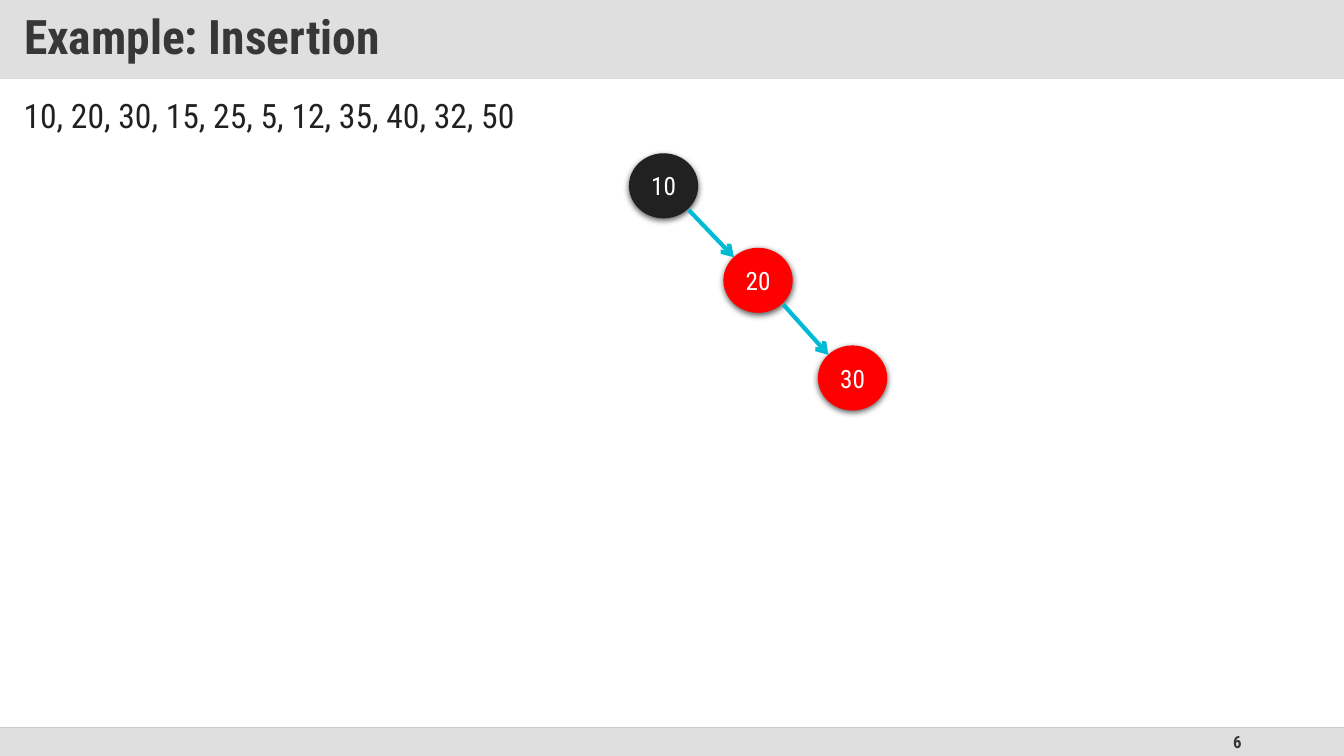
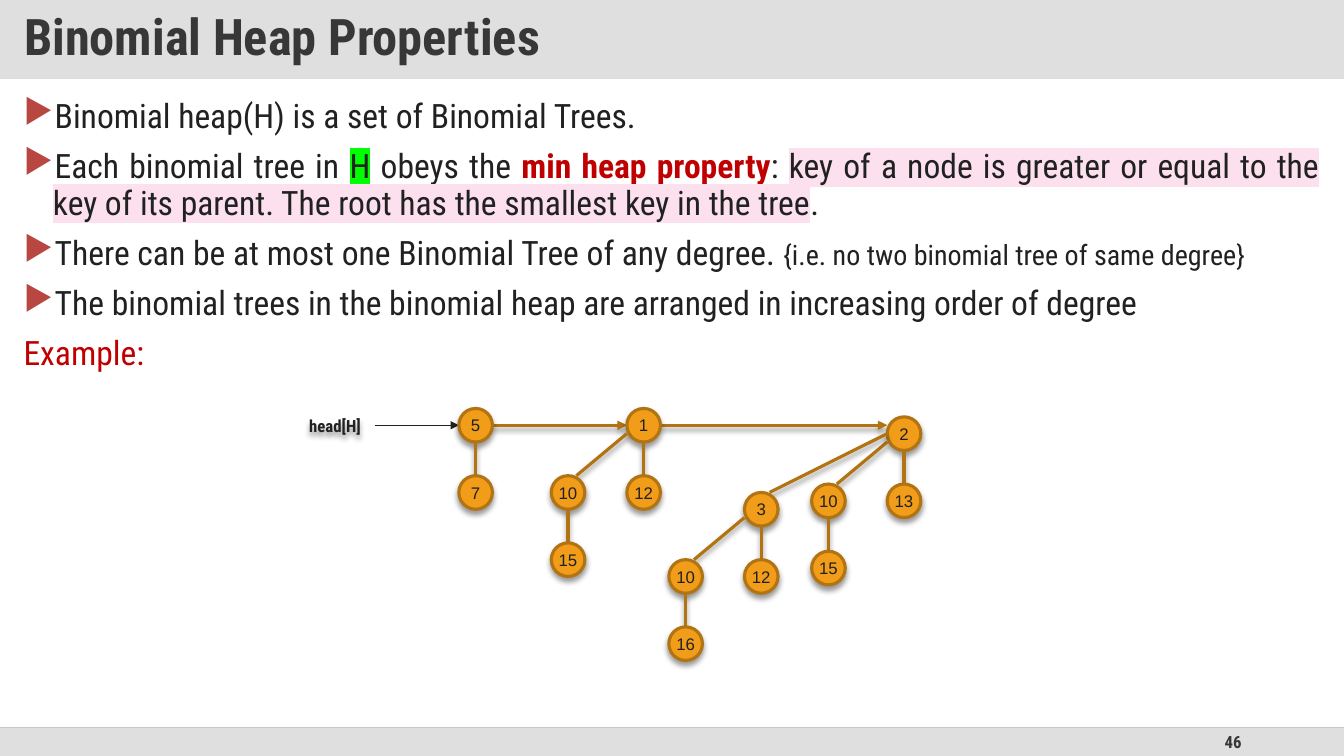
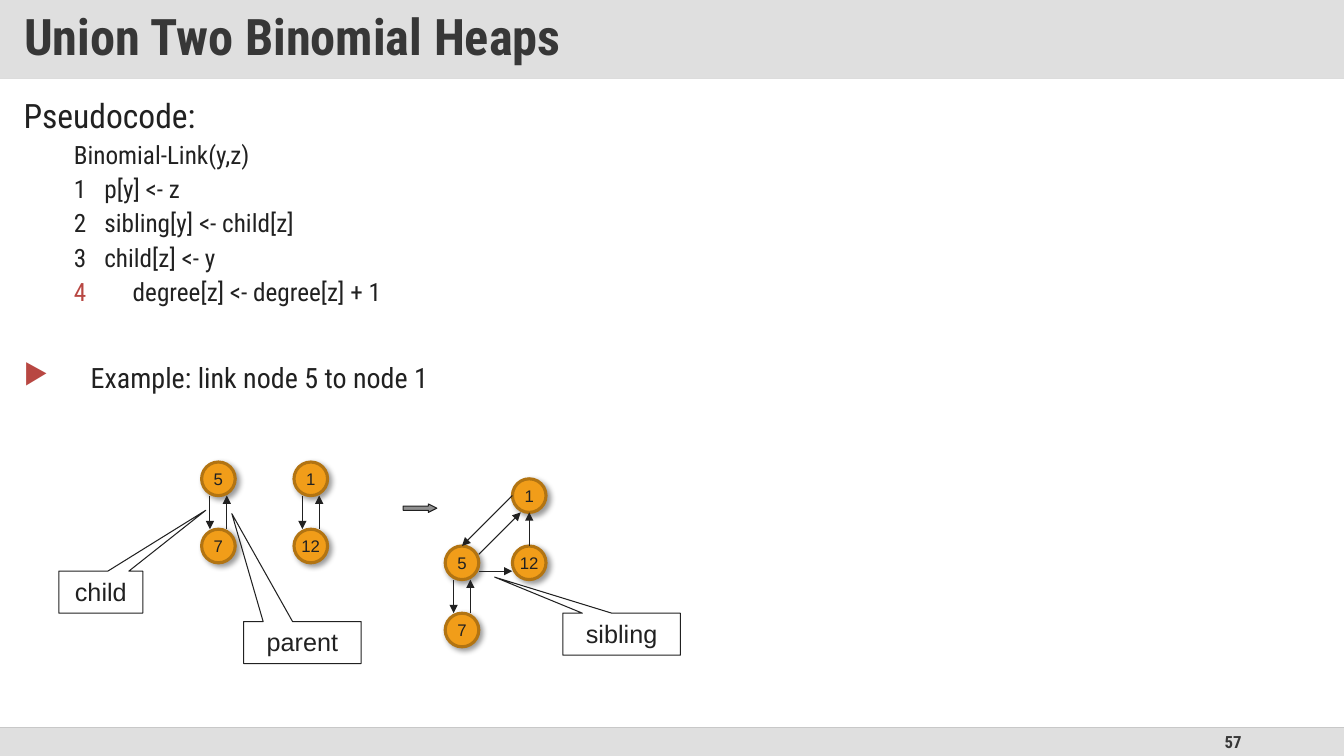
from itertools import pairwise

from lxml.etree import SubElement
from pptx import Presentation
from pptx.dml.color import RGBColor
from pptx.enum.shapes import MSO_CONNECTOR, MSO_SHAPE
from pptx.enum.text import MSO_ANCHOR, PP_ALIGN
from pptx.oxml.ns import qn
from pptx.util import Pt

PX = 9525
WIDTH, HEIGHT = 1280, 720
TITLE_HEIGHT, FOOTER_TOP = 75, 693
SANS, NODE_FONT = "Roboto Condensed", "Arial"
INK, TITLE_INK, BAND, WHITE = "212121", "373737", "DFDFDF", "FFFFFF"
RED, BRICK, BULLET = "FF0000", "C00000", "B84742"
ORANGE, BROWN, CYAN, GREY = "F19D19", "B27412", "00BBD3", "909090"
GREEN, PINK = "00FF00", "FCE0EE"
NODE = 32
MID = NODE // 2
LEVEL = 64
SOFT_DOWN = (40, 4, 3, 90)
SOFT_DIAGONAL = (40, 4, 3, 45)
HARD_DOWN = (63, 4.5, 1.5, 90)


def px(*lengths):
    return [length * PX for length in lengths]


def rgb(color):
    return RGBColor.from_string(color)


def set_font(font, size=None, color=None, bold=None, name=None):
    if size:
        font.size = Pt(size)
    if color:
        font.color.rgb = rgb(color)
    if bold is not None:
        font.bold = bold
    if name:
        font.name = name


def add_shadow(effects, opacity, blur, distance, angle):
    shadow = SubElement(effects, qn("a:outerShdw"), blurRad=str(Pt(blur)),
                        dist=str(Pt(distance)), dir=str(angle * 60000),
                        algn="ctr", rotWithShape="0")
    color = SubElement(shadow, qn("a:srgbClr"), val="000000")
    SubElement(color, qn("a:alpha"), val=str(opacity * 1000))


def set_shadow(shape, shadow):
    shape.shadow.inherit = False
    if shadow:
        add_shadow(shape._element.spPr.find(qn("a:effectLst")), *shadow)


def add_shape(page, kind, place, fill=None, line=None, width=0.75, shadow=None):
    shape = page.shapes.add_shape(kind, *px(*place))
    if fill:
        shape.fill.solid()
        shape.fill.fore_color.rgb = rgb(fill)
    else:
        shape.fill.background()
    if line:
        shape.line.color.rgb = rgb(line)
        shape.line.width = Pt(width)
    else:
        shape.line.fill.background()
    set_shadow(shape, shadow)
    return shape


def write(shape, text, size, color, bold=False, name=SANS,
          align=PP_ALIGN.CENTER, anchor=MSO_ANCHOR.MIDDLE, wrap=True):
    frame = shape.text_frame
    frame.word_wrap = wrap
    frame.vertical_anchor = anchor
    para = frame.paragraphs[0]
    para.alignment = align
    para.add_run().text = text
    set_font(para.font, size, color, bold, name)
    return frame


def add_line(page, start, end, color=INK, width=0.75, arrow=None, shadow=None):
    line = page.shapes.add_connector(MSO_CONNECTOR.STRAIGHT, *px(*start, *end))
    line.line.color.rgb = rgb(color)
    line.line.width = Pt(width)
    properties = line._element.spPr
    if arrow:
        SubElement(properties.find(qn("a:ln")), qn("a:tailEnd"), type=arrow)
    effects = SubElement(properties, qn("a:effectLst"))
    if shadow:
        add_shadow(effects, *shadow)


def add_page(deck, title, number, title_size=36):
    page = deck.slides.add_slide(deck.slide_layouts[6])
    add_shape(page, MSO_SHAPE.RECTANGLE,
              (0, FOOTER_TOP, WIDTH, HEIGHT - FOOTER_TOP), BAND)
    number_box = page.shapes.add_textbox(
        *px(904, FOOTER_TOP, 288, HEIGHT - FOOTER_TOP))
    write(number_box, number, 12, TITLE_INK, True, align=PP_ALIGN.RIGHT)
    for top, color in ((TITLE_HEIGHT, "D9D9D9"), (FOOTER_TOP, "C8C8C8")):
        add_line(page, (0, top), (WIDTH, top), color, 1)
    bar = add_shape(page, MSO_SHAPE.RECTANGLE, (0, 0, WIDTH, TITLE_HEIGHT), BAND)
    frame = write(bar, title, title_size, TITLE_INK, True, align=PP_ALIGN.LEFT)
    frame.margin_left = frame.margin_right = 23 * PX
    frame.margin_top = frame.margin_bottom = 12 * PX
    frame.paragraphs[0].line_spacing = 0.9
    return page


def add_body(page, height=587):
    box = page.shapes.add_textbox(*px(13, 90, 1253, height))
    box.text_frame.word_wrap = True
    return box.text_frame


def add_para(frame, *spans, size=24, color=INK, before=10, left=0, hang=0,
             bullet=None, bullet_color=BULLET):
    first = not frame.paragraphs[0].runs
    para = frame.paragraphs[0] if first else frame.add_paragraph()
    para.alignment = PP_ALIGN.JUSTIFY
    para.line_spacing = 0.9
    para.space_before = Pt(0 if first else before)
    properties = para._p.get_or_add_pPr()
    properties.set("marL", str(left * PX))
    properties.set("indent", str(-hang * PX))
    if bullet:
        holder = SubElement(properties, qn("a:buClr"))
        SubElement(holder, qn("a:srgbClr"), val=bullet_color)
        if bullet == "number":
            SubElement(properties, qn("a:buAutoNum"), type="arabicPlain")
        else:
            SubElement(properties, qn("a:buChar"), char=bullet)
    else:
        SubElement(properties, qn("a:buNone"))
    set_font(para.font, size, color, name=SANS)
    for span in spans:
        text, style = span if isinstance(span, tuple) else (span, {})
        add_span(para, text, **style)


def add_span(para, text, highlight=None, **style):
    span = para.add_run()
    span.text = text
    set_font(span.font, **style)
    if highlight:
        marker = SubElement(span._r.get_or_add_rPr(), qn("a:highlight"))
        SubElement(marker, qn("a:srgbClr"), val=highlight)


def add_heap_node(page, key, left, top, shadow=SOFT_DOWN):
    node = add_shape(page, MSO_SHAPE.OVAL, (left, top, NODE, NODE),
                     ORANGE, BROWN, 2.25, shadow)
    write(node, key, 12, INK, name=NODE_FONT, wrap=False)


def add_heap_edge(page, start, end, arrow=None):
    add_line(page, start, end, BROWN, 2.25, arrow, SOFT_DOWN)


def add_child_below(page, key, left, top):
    add_heap_edge(page, (left + MID, top + NODE), (left + MID, top + LEVEL))
    add_heap_node(page, key, left, top + LEVEL)


def add_child_aside(page, key, parent, child, drop=24):
    add_heap_edge(page, (child[0] + 24, child[1]), (parent[0], parent[1] + drop))
    add_heap_node(page, key, *child)


def add_link_pair(page, left, top):
    bottom = top + LEVEL
    add_line(page, (left + 8, top + NODE), (left + 8, bottom), arrow="triangle")
    add_line(page, (left + 24, bottom), (left + 24, top + NODE), arrow="triangle")


def add_callout(page, text, place, pointer):
    callout = add_shape(page, MSO_SHAPE.RECTANGULAR_CALLOUT, place, line=INK)
    callout.adjustments[0], callout.adjustments[1] = pointer
    write(callout, text, 18, INK, name=NODE_FONT, anchor=MSO_ANCHOR.TOP)


def build_insertion(deck):
    page = add_page(deck, "Example: Insertion", "6", 34)
    add_para(add_body(page), "10, 20, 30, 15, 25, 5, 12, 35, 40, 32, 50")
    nodes = (("10", 599, 146, INK), ("20", 689, 236, RED), ("30", 779, 329, RED))
    for key, left, top, fill in nodes:
        node = add_shape(page, MSO_SHAPE.OVAL, (left, top, 66, 62), fill,
                         shadow=HARD_DOWN)
        write(node, key, 18, WHITE, wrap=False)
    for (_, left, top, _), (_, next_left, next_top, _) in pairwise(nodes):
        add_line(page, (left + 57, top + 54), (next_left + 10, next_top + 9),
                 CYAN, 3, "arrow")


def build_properties(deck):
    page = add_page(deck, "Binomial Heap Properties", "46")
    body = add_body(page)
    points = (
        ("Binomial heap(H) is a set of Binomial Trees.",),
        ("Each binomial tree in ", ("H", {"highlight": GREEN}), " obeys the ",
         ("min heap property", {"color": BRICK, "bold": True}), ": ",
         ("key of a node is greater or equal to the key of its parent. "
          "The root has the smallest key in the tree", {"highlight": PINK}), "."),
        ("There can be at most one Binomial Tree of any degree. ",
         ("{i.e. no two binomial tree of same degree}", {"size": 20})),
        ("The binomial trees in the binomial heap are arranged in increasing "
         "order of degree",),
    )
    for spans in points:
        add_para(body, *spans, left=28, hang=28, bullet="▶")
    add_para(body, "Example:", color=BRICK)

    label = page.shapes.add_textbox(*px(285, 391, 93, 29))
    write(label, "head[H]", 12, INK, True, align=PP_ALIGN.LEFT,
          anchor=MSO_ANCHOR.TOP)
    set_shadow(label, SOFT_DOWN)

    root_top = 389
    list_line = root_top + MID
    add_line(page, (357, list_line), (437, list_line), arrow="triangle")
    for start, end in ((469, 597), (629, 845)):
        add_heap_edge(page, (start, list_line), (end, list_line), "triangle")

    for key, left, top in (("5", 437, root_top), ("1", 597, root_top),
                           ("2", 845, 397)):
        add_heap_node(page, key, left, top)
    asides = (
        ("10", (597, 389), (525, 453), 24),
        ("10", (845, 397), (773, 461), 24),
        ("3", (845, 397), (709, 469), 16),
        ("10", (709, 469), (637, 533), 24),
    )
    for key, parent, child, drop in asides:
        add_child_aside(page, key, parent, child, drop)
    for key, left, top in (("7", 437, 389), ("12", 597, 389), ("15", 525, 453),
                           ("13", 845, 397), ("15", 773, 461),
                           ("12", 709, 469), ("16", 637, 533)):
        add_child_below(page, key, left, top)


def build_union(deck):
    page = add_page(deck, "Union Two Binomial Heaps", "57")
    body = add_body(page, 333)
    add_para(body, "Pseudocode:")
    add_para(body, "Binomial-Link(y,z)", size=18, before=5, left=104, hang=56)
    steps = (("p[y] <- z", 29, INK), ("sibling[y] <- child[z]", 29, INK),
             ("child[z] <- y", 29, INK), ("degree[z] <- degree[z] + 1", 56, BULLET))
    for step, hang, number_color in steps:
        add_para(body, step, size=18, before=5, left=48 + hang, hang=hang,
                 bullet="number", bullet_color=number_color)
    add_para(body, "Example: link node 5 to node 1", size=20, before=41,
             left=64, hang=64, bullet="▶")

    for key, left, top in (("5", 192, 440), ("7", 192, 504), ("1", 280, 440),
                           ("12", 280, 504), ("1", 488, 456), ("12", 488, 520),
                           ("5", 424, 520), ("7", 424, 584)):
        add_heap_node(page, key, left, top, SOFT_DIAGONAL)
    for left, top in ((192, 440), (280, 440), (424, 520)):
        add_link_pair(page, left, top)
    for start, end in (((456, 528), (496, 488)), ((488, 472), (440, 520)),
                       ((504, 520), (504, 488)), ((456, 544), (488, 544))):
        add_line(page, start, end, arrow="triangle")

    result = add_shape(page, MSO_SHAPE.RIGHT_ARROW, (384, 480, 32, 8), GREY, INK)
    result.adjustments[0], result.adjustments[1] = 0.5, 1
    add_callout(page, "child", (56, 544, 80, 40), (1.25, -1.95))
    add_callout(page, "parent", (232, 592, 112, 40), (-0.6, -3.07))
    add_callout(page, "sibling", (536, 584, 112, 40), (-1.08, -1.36))


def main():
    deck = Presentation()
    deck.slide_width, deck.slide_height = px(WIDTH, HEIGHT)
    build_insertion(deck)
    build_properties(deck)
    build_union(deck)
    deck.save("out.pptx")


if __name__ == "__main__":
    main()
